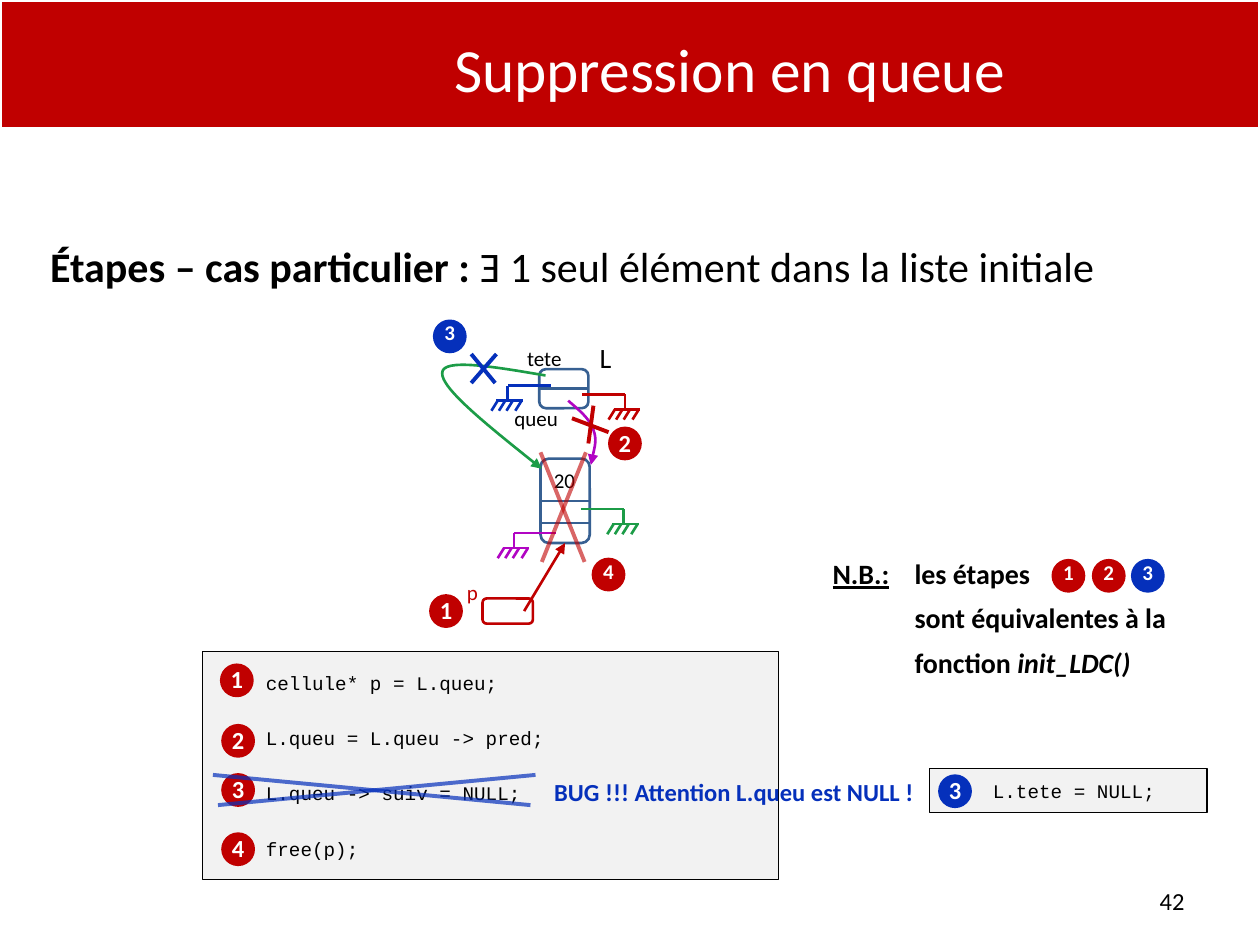
from dataclasses import dataclass

from lxml.etree import SubElement
from pptx import Presentation
from pptx.dml.color import RGBColor
from pptx.enum.shapes import MSO_CONNECTOR as Link, MSO_SHAPE as Shape
from pptx.enum.text import MSO_ANCHOR as Anchor, PP_ALIGN as Align
from pptx.oxml.ns import qn
from pptx.util import Pt

PX = 9144  # EMU per px, 100 px to the inch


@dataclass(frozen=True)
class Theme:
    red: str = "C00000"
    blue: str = "0530BB"
    green: str = "1C9C47"
    purple: str = "B105C3"
    steel: str = "376092"
    black: str = "000000"
    white: str = "FFFFFF"
    panel: str = "F2F2F2"
    sans: str = "Calibri"
    mono: str = "Courier New"
    title: float = 35.1
    heading: int = 24
    note: int = 16
    body: int = 14
    small: int = 12
    code: int = 11
    thin: float = 0.75
    medium: float = 1.5
    edge: int = 2
    thick: float = 2.25


T = Theme()

HEADING = [[("Étapes – cas particulier : ", {"bold": True}),
            ("Ǝ 1 seul élément dans la liste initiale", {})]]
NOTE = [
    [("N.B.:", {"bold": True, "underline": True}), ("\tles étapes", {"bold": True})],
    [("sont équivalentes à la", {"bold": True})],
    [("fonction ", {"bold": True}), ("init_LDC()", {"bold": True, "italic": True})],
]
CODE = ["cellule* p = L.queu;", "L.queu = L.queu -> pred;",
        "L.queu -> suiv = NULL;", "free(p);"]
# text, left, top, colour, size
CODE_BADGES = [("1", 176, 528, T.red, T.body), ("2", 177, 576, T.red, T.body),
               ("3", 177, 615, T.red, T.body), ("4", 177, 662, T.red, T.body)]
NOTE_BADGES = [("1", 836, 445, T.red, T.small), ("2", 868, 445, T.red, T.small),
               ("3", 899, 445, T.blue, T.small)]
DIAGRAM_BADGES = [("1", 342, 473, T.red, T.body), ("2", 484, 340, T.red, T.body),
                  ("4", 471, 444, T.red, T.small), ("3", 345, 255, T.blue, T.small)]
# text, box, size, colour
LABELS = [("tete", (382, 269, 100, 24), T.small, T.black),
          ("queu", (383, 317, 85, 30), T.small, T.black),
          ("L", (462, 265, 37, 29), T.note, T.black),
          ("20", (429, 366, 38, 30), T.small, T.black),
          ("p", (347, 455, 56, 30), T.small, T.red)]
# start x, corner x, y, colour
GROUNDS = [(461, 495, 404, T.green), (441, 408, 423, T.purple),
           (437, 403, 306, T.blue), (462, 496, 313, T.red)]
# start, then control points three by three
CURVES = [([(433, 298), (392, 291), (351, 284), (351, 296),
            (350, 308), (390, 340), (430, 372)], T.green),
          ([(451, 318), (459, 325), (468, 332), (471, 341),
            (474, 349), (471, 359), (469, 369)], T.purple)]
# two strokes, colour, opacity in percent
DIAGRAM_CROSSES = [(((374, 281, 393, 304), (394, 281, 374, 304)), T.blue, 100),
                   (((454, 332, 483, 343), (471, 322, 467, 352)), T.red, 100),
                   (((429, 359, 464, 446), (465, 359, 430, 446)), T.red, 60)]
CODE_CROSS = (((169, 615, 421, 639), (425, 615, 173, 639)), T.blue, 70)

deck = Presentation()
deck.slide_width, deck.slide_height = 1000 * PX, 750 * PX
page = deck.slides.add_slide(deck.slide_layouts[6])
shapes = page.shapes


def assign(target, values):
    for name, value in values.items():
        setattr(target, name, value)


def rgb(colour):
    return RGBColor.from_string(colour)


def emu(lengths):
    return [length * PX for length in lengths]


def stroke(item, colour, width, opacity=100, arrow=False):
    item.line.color.rgb = rgb(colour)
    item.line.width = Pt(width)
    ln = item.line._get_or_add_ln()
    if opacity < 100:
        SubElement(ln.find(f".//{qn('a:srgbClr')}"), qn("a:alpha"), val=str(opacity * 1000))
    if arrow:
        SubElement(ln, qn("a:tailEnd"), type="triangle")


def write(item, paras, size, colour=T.black, font=T.sans, align=Align.LEFT,
          gap=0, hang=0, **frame):
    """Fill with paragraphs of (text, font values) spans; hang is a hanging indent."""
    assign(item.text_frame, {"word_wrap": True, **frame})
    for index, spans in enumerate(paras):
        para = item.text_frame.paragraphs[0] if index == 0 else item.text_frame.add_paragraph()
        para.alignment = align
        if hang:
            para._p.get_or_add_pPr().set("marL", str(hang * PX))
            para._p.get_or_add_pPr().set("indent", str(-hang * PX if index == 0 else 0))
        if index and gap:
            para.space_before = Pt(gap)
        for text, values in spans:
            span = para.add_run()
            span.text = text
            assign(span.font, {"name": font, "size": Pt(size), **values})
            span.font.color.rgb = rgb(colour)


def text_box(box, paras, size, **options):
    write(shapes.add_textbox(*emu(box)), paras, size, **options)


def block(kind, box, line, width, fill=None):
    item = shapes.add_shape(kind, *emu(box))
    item.shadow.inherit = False
    if fill:
        item.fill.solid()
        item.fill.fore_color.rgb = rgb(fill)
    else:
        item.fill.background()
    stroke(item, line, width)
    return item


def line(ends, colour, width=T.medium, **options):
    item = shapes.add_connector(Link.STRAIGHT, *emu(ends))
    stroke(item, colour, width, **options)
    SubElement(item._element.spPr, qn("a:effectLst"))
    return item


def badge(text, left, top, colour, size):
    item = block(Shape.OVAL, (left, top, 24, 24), colour, T.edge, colour)
    lift = 6 if size == T.small else 2
    write(item, [[(text, {"bold": True})]], size, colour=T.white, align=Align.CENTER,
          word_wrap=False, vertical_anchor=Anchor.MIDDLE, margin_left=0,
          margin_right=0, margin_top=0, margin_bottom=lift * PX)


def cross(strokes, colour, opacity):
    for ends in strokes:
        line(ends, colour, T.thick, opacity=opacity)


def code_panel(box, lines):
    write(block(Shape.RECTANGLE, box, T.black, T.thin, T.panel),
          [[(text, {})] for text in lines], T.code, font=T.mono, gap=18.4,
          vertical_anchor=Anchor.MIDDLE, margin_left=50 * PX)


def ground(start, corner, y, colour):
    """Null pointer: a wire, a drop, a bar and four slanted ticks."""
    bar = y + 12
    line((start, y, corner, y), colour)
    line((corner, y, corner, bar), colour)
    line((corner - 9, bar, corner + 12, bar), colour)
    for offset in (-8, -2, 4, 11):
        line((corner + offset, bar, corner + offset - 5, bar + 8), colour)


def curve(points, colour):
    builder = shapes.build_freeform(*points[0], scale=PX)
    builder.add_line_segments(points[1:], close=False)
    item = builder.convert_to_shape()
    item.shadow.inherit = False
    item.fill.background()
    stroke(item, colour, T.medium, arrow=True)
    segments = item._element.xpath(".//a:lnTo")
    outline = segments[0].getparent()
    for first in range(0, len(segments), 3):
        bezier = SubElement(outline, qn("a:cubicBezTo"))
        for segment in segments[first:first + 3]:
            bezier.append(segment[0])
            outline.remove(segment)


def divided_box(box, divider):
    """Rounded box whose middle line joins both sides."""
    item = block(Shape.ROUNDED_RECTANGLE, box, T.steel, T.medium)
    middle = line((box[0], divider, box[0] + box[2], divider), T.steel)
    middle.begin_connect(item, 1)
    middle.end_connect(item, 3)
    return item


block(Shape.RECTANGLE, (0, 0, 1000, 102), T.white, T.edge, T.red)
text_box((217, 19, 724, 69), [[("Suppression en queue", {})]], T.title, colour=T.white,
         align=Align.CENTER, vertical_anchor=Anchor.MIDDLE)
text_box((30, 186, 935, 50), HEADING, T.heading)
text_box((651, 437, 349, 108), NOTE, T.note, gap=6, hang=65)

code_panel((161, 517, 457, 181), CODE)
for entry in CODE_BADGES:
    badge(*entry)
cross(*CODE_CROSS)
text_box((430, 612, 346, 34), [[("BUG !!! Attention L.queu est NULL !", {"bold": True})]],
         T.body, colour=T.blue)
code_panel((738, 610, 220, 35), ["L.tete = NULL;"])
badge("3", 746, 616, T.blue, T.body)
text_box((717, 695, 233, 40), [[("42", {})]], T.body, align=Align.RIGHT,
         vertical_anchor=Anchor.MIDDLE)

divided_box((428, 293, 39, 31), 310)
cell = divided_box((429, 364, 39, 67), 399)
line((429, 415, 468, 415), T.steel)
block(Shape.ROUNDED_RECTANGLE, (383, 475, 40, 20), T.red, T.medium)
line((416, 485, 450, 432), T.red, arrow=True).end_connect(cell, 2)
for text, box, size, colour in LABELS:
    text_box(box, [[(text, {})]], size, colour=colour, align=Align.CENTER, word_wrap=False)
for entry in GROUNDS:
    ground(*entry)
for entry in CURVES:
    curve(*entry)
for entry in DIAGRAM_CROSSES:
    cross(*entry)
for entry in NOTE_BADGES + DIAGRAM_BADGES:
    badge(*entry)

deck.save("out.pptx")
